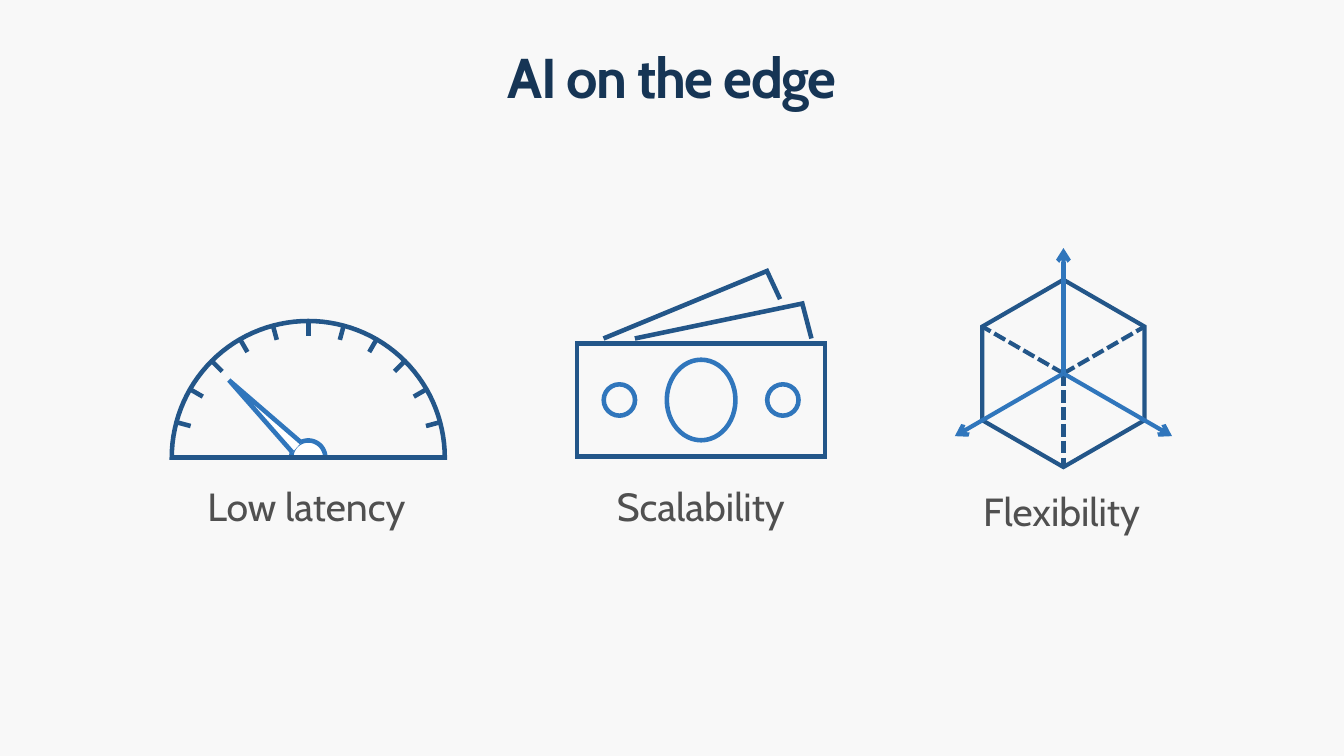
from math import cos, radians, sin

from lxml.etree import SubElement
from pptx import Presentation
from pptx.dml.color import RGBColor
from pptx.enum.dml import MSO_LINE
from pptx.enum.shapes import MSO_CONNECTOR, MSO_SHAPE
from pptx.enum.text import MSO_ANCHOR, PP_ALIGN
from pptx.oxml.ns import qn
from pptx.util import Cm, Pt

COLORS = {
    "background": "F8F8F8",
    "title": "163555",
    "label": "505050",
    "dark": "235689",
    "light": "3076BC",
    "white": "FFFFFF",
}


def write(box, text, size, color, bold=False, spacing=0, anchor=MSO_ANCHOR.TOP, margin=0.13):
    frame = box.text_frame
    frame.word_wrap = True
    frame.vertical_anchor = anchor
    frame.margin_left = frame.margin_right = Cm(0.25)
    frame.margin_top = frame.margin_bottom = Cm(margin)
    para = frame.paragraphs[0]
    para.alignment = PP_ALIGN.CENTER
    para.line_spacing = 0.9
    para.space_before = Pt(0)
    span = para.add_run()
    span.text = text
    span.font.name = "Cabin"
    span.font.size = Pt(size)
    span.font.bold = bold
    span.font.color.rgb = RGBColor.from_string(COLORS[color])
    if spacing:
        span.font._element.set("spc", str(spacing * 100))


def polar(center, radius, angle):
    x, y = center
    return x + radius * cos(radians(angle)), y - radius * sin(radians(angle))


deck = Presentation()
deck.slide_width = Cm(33.87)
deck.slide_height = Cm(19.05)
page = deck.slides.add_slide(deck.slide_layouts[5])
page.background.fill.solid()
page.background.fill.fore_color.rgb = RGBColor.from_string(COLORS["background"])

title = page.shapes.title
title.left, title.top, title.width, title.height = Cm(0.53), Cm(1.02), Cm(32.82), Cm(2.03)
write(title, "AI on the edge", 40, "title", bold=True, spacing=-1,
      anchor=MSO_ANCHOR.BOTTOM, margin=0.25)

for text, left, top in [("Low latency", 3.4, 12.17), ("Scalability", 13.34, 12.17),
                        ("Flexibility", 22.43, 12.29)]:
    label = page.shapes.add_textbox(Cm(left), Cm(top), Cm(8.64), Cm(1.35))
    write(label, text, 28, "label")

gauge, bill, cube = (7.77, 11.53), (17.67, 10.08), (26.8, 9.41)
gauge_radius, hub_radius, cube_radius, axis_length = 3.44, 0.43, 2.36, 3.16
gauge_width, cube_width = 3.25, 3

outlines = []
for shape_type, offset, width, height, color in [
    (MSO_SHAPE.RECTANGLE, 0, 6.25, 2.84, "dark"),
    (MSO_SHAPE.OVAL, 0, 1.73, 2.03, "light"),
    (MSO_SHAPE.OVAL, -2.06, 0.79, 0.79, "light"),
    (MSO_SHAPE.OVAL, 2.06, 0.79, 0.79, "light"),
]:
    shape = page.shapes.add_shape(shape_type, Cm(bill[0] + offset - width / 2),
                                  Cm(bill[1] - height / 2), Cm(width), Cm(height))
    outlines.append((shape, color, gauge_width, None))

front_note = [(16, 8.53), (20.22, 7.65), (20.45, 8.53)]
back_note = [(15.21, 8.53), (19.33, 6.83), (19.66, 7.54)]
hub = [polar(gauge, hub_radius, angle) for angle in range(0, 181, 6)]
needle = [(7.37, 11.4), (5.77, 9.58), (7.59, 11.15)]
dial = [polar(gauge, gauge_radius, angle) for angle in range(0, 181, 3)]
hexagon = [polar(cube, cube_radius, angle) for angle in range(30, 390, 60)]
for points, closed, color, width, fill in [
    (front_note, False, "dark", gauge_width, None),
    (back_note, False, "dark", gauge_width, None),
    (hub, True, "light", gauge_width, "white"),
    (needle, False, "light", gauge_width, "white"),
    (dial, True, "dark", gauge_width, None),
    (hexagon, True, "dark", cube_width, None),
]:
    corners = [(Cm(x), Cm(y)) for x, y in points]
    builder = page.shapes.build_freeform(*corners[0])
    builder.add_line_segments(corners[1:], close=closed)
    outlines.append((builder.convert_to_shape(), color, width, fill))

for shape, color, width, fill in outlines:
    shape.shadow.inherit = False
    if fill:
        shape.fill.solid()
        shape.fill.fore_color.rgb = RGBColor.from_string(COLORS[fill])
    else:
        shape.fill.background()
    shape.line.color.rgb = RGBColor.from_string(COLORS[color])
    shape.line.width = Pt(width)
    SubElement(shape.line._get_or_add_ln(), qn("a:miter"), lim="800000")

strokes = [(polar(gauge, gauge_radius, angle), polar(gauge, 3.07, angle),
            "dark", gauge_width, False, False) for angle in range(15, 166, 15)]
strokes += [(cube, polar(cube, cube_radius, angle), "dark", cube_width, True, False)
            for angle in (270, 30, 150)]
strokes += [(cube, polar(cube, axis_length, angle), "light", cube_width, False, True)
            for angle in (90, 210, 330)]
for start, end, color, width, dashed, arrow in strokes:
    stroke = page.shapes.add_connector(MSO_CONNECTOR.STRAIGHT, Cm(start[0]), Cm(start[1]),
                                       Cm(end[0]), Cm(end[1]))
    stroke.line.color.rgb = RGBColor.from_string(COLORS[color])
    stroke.line.width = Pt(width)
    if dashed:
        stroke.line.dash_style = MSO_LINE.SQUARE_DOT
    if arrow:
        SubElement(stroke.line._get_or_add_ln(), qn("a:tailEnd"), type="arrow")
    SubElement(stroke._element.spPr, qn("a:effectLst"))

deck.save("out.pptx")
